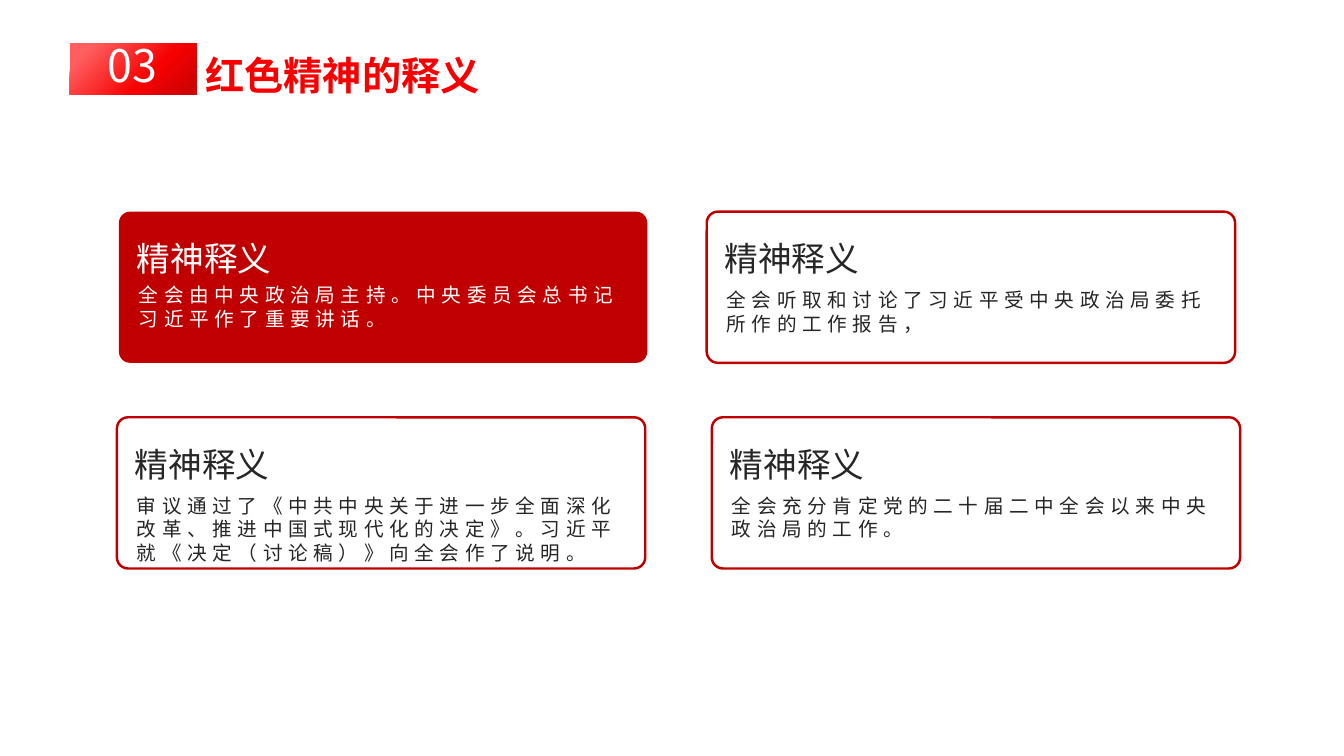
from copy import deepcopy

from lxml import etree
from pptx import Presentation
from pptx.dml.color import RGBColor
from pptx.enum import shapes, text
from pptx.oxml import ns
from pptx.util import Inches, Pt

FONT = "Noto Sans CJK SC"
COLORS = {
    "white": "FFFFFF",
    "ink": "262626",
    "crimson": "C00000",
    "title": "F70001",
}
BADGE_STOPS = [(0.14, "FE5E5E"), (0.63, "F70001"), (0.94, "CE0203")]

NUMBER = "03"
TITLE = "红色精神的释义"
CARD_HEADING = "精神释义"
CARDS = [
    {"left": 1.18, "top": 2.1, "body_drop": 0.66, "body_height": 0.57, "filled": True,
     "body": "全会由中央政治局主持。中央委员会总书记习近平作了重要讲话。"},
    {"left": 1.16, "top": 4.14, "body_drop": 0.71, "body_height": 0.81, "filled": False,
     "body": "审议通过了《中共中央关于进一步全面深化改革、推进中国式现代化的决定》。"
             "习近平就《决定（讨论稿）》向全会作了说明。"},
    {"left": 7.01, "top": 2.1, "body_drop": 0.71, "body_height": 0.57, "filled": False,
     "body": "全会听取和讨论了习近平受中央政治局委托所作的工作报告，"},
    {"left": 7.06, "top": 4.14, "body_drop": 0.71, "body_height": 0.57, "filled": False,
     "body": "全会充分肯定党的二十届二中全会以来中央政治局的工作。"},
]
CARD_WIDTH, CARD_HEIGHT, CARD_ROUNDING = 5.24, 1.5, 0.074


def color(name):
    return RGBColor.from_string(COLORS[name])


def add_text(container, content, left, top, width, height, *, size, ink,
             bold=False, align=text.PP_ALIGN.LEFT, tracking=0):
    box = container.add_textbox(Inches(left), Inches(top), Inches(width), Inches(height))
    box.text_frame.word_wrap = True
    box.text_frame.auto_size = text.MSO_AUTO_SIZE.SHAPE_TO_FIT_TEXT
    paragraph = box.text_frame.paragraphs[0]
    paragraph.alignment = align
    run = paragraph.add_run()
    run.text = content
    run.font.size = Pt(size)
    run.font.bold = bold
    run.font.name = FONT
    run.font.color.rgb = color(ink)
    properties = run.font._element
    if tracking:
        properties.set("spc", str(tracking * 100))
    etree.SubElement(properties, ns.qn("a:ea"), typeface=FONT)


def add_badge(container):
    badge = container.add_shape(shapes.MSO_SHAPE.RECTANGLE, Inches(0.69), Inches(0.43),
                                Inches(1.26), Inches(0.51))
    badge.shadow.inherit = False
    badge.line.fill.background()
    badge.fill.gradient()
    badge.fill.gradient_angle = 315
    stop_list = badge._element.spPr.find(".//" + ns.qn("a:gsLst"))
    stop_list.append(deepcopy(stop_list[0]))
    for stop, (position, value) in zip(badge.fill.gradient_stops, BADGE_STOPS):
        stop.position = position
        stop.color.rgb = RGBColor.from_string(value)
    add_text(container, NUMBER, 0.88, 0.33, 0.86, 0.64, size=32, ink="white",
             align=text.PP_ALIGN.CENTER)


def add_card(container, card):
    left, top = card["left"], card["top"]
    frame = container.add_shape(shapes.MSO_SHAPE.ROUNDED_RECTANGLE, Inches(left), Inches(top),
                                Inches(CARD_WIDTH), Inches(CARD_HEIGHT))
    frame.adjustments[0] = CARD_ROUNDING
    frame.shadow.inherit = False
    if card["filled"]:
        frame.fill.solid()
        frame.fill.fore_color.rgb = color("crimson")
        frame.line.fill.background()
    else:
        frame.fill.background()
        frame.line.color.rgb = color("crimson")
        frame.line.width = Pt(1.75)
    ink = "white" if card["filled"] else "ink"
    add_text(container, CARD_HEADING, left + 0.08, top + 0.21, 1.67, 0.5, size=24, ink=ink)
    add_text(container, card["body"], left + 0.1, top + card["body_drop"], 5.06,
             card["body_height"], size=14, ink=ink, tracking=4)


def main():
    presentation = Presentation()
    presentation.slide_width = Inches(13.33)
    presentation.slide_height = Inches(7.5)
    slide = presentation.slides.add_slide(presentation.slide_layouts[6])
    add_badge(slide.shapes.add_group_shape().shapes)
    add_text(slide.shapes, TITLE, 1.94, 0.46, 3.46, 0.57, size=28, ink="title",
             bold=True, align=text.PP_ALIGN.JUSTIFY)
    for card in CARDS:
        add_card(slide.shapes.add_group_shape().shapes, card)
    presentation.save("out.pptx")


if __name__ == "__main__":
    main()
